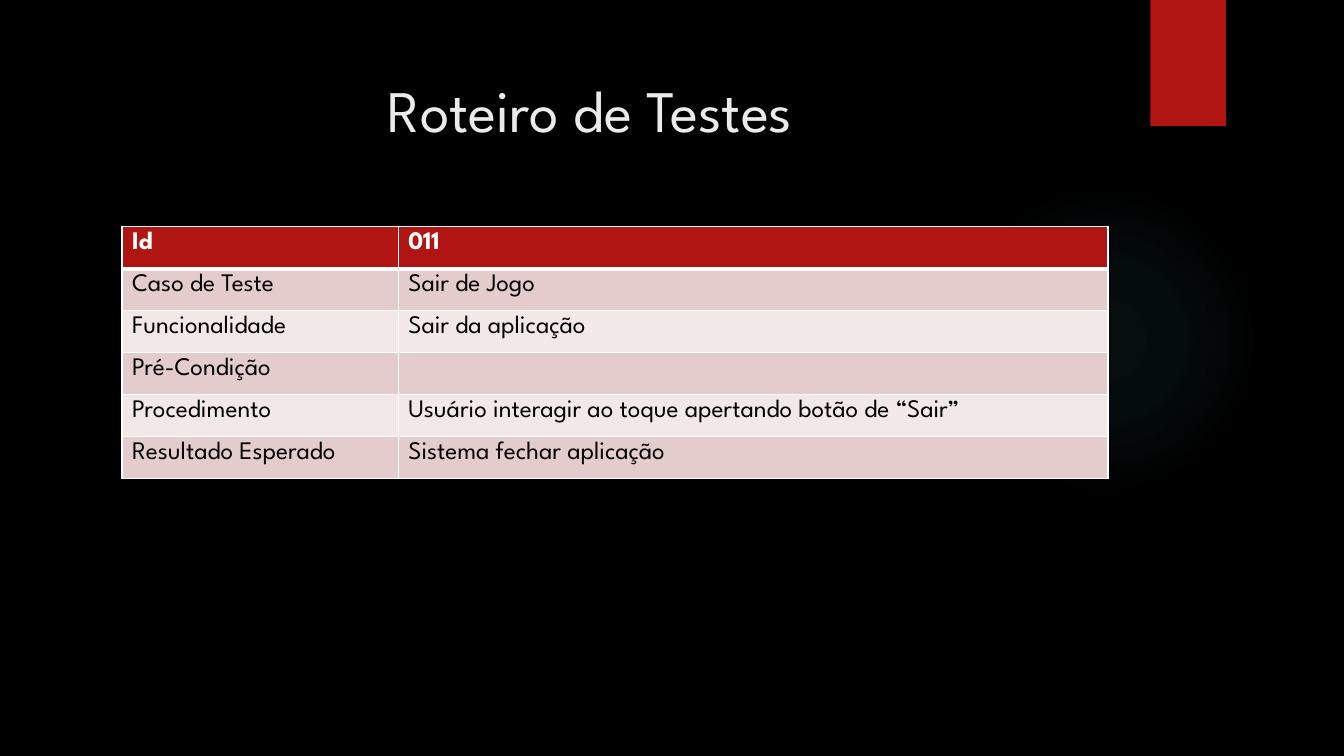
from dataclasses import dataclass

from lxml.etree import SubElement
from pptx import Presentation
from pptx.dml.color import RGBColor
from pptx.enum.shapes import MSO_SHAPE as Shape
from pptx.enum.text import MSO_ANCHOR as Anchor, PP_ALIGN as Align
from pptx.oxml import parse_xml
from pptx.oxml.ns import nsdecls, qn
from pptx.util import Inches, Pt

TITLE = "Roteiro de Testes"
TEST_CASE = [
    ("Id", "011"),
    ("Caso de Teste", "Sair de Jogo"),
    ("Funcionalidade", "Sair da aplicação"),
    ("Pré-Condição", ""),
    ("Procedimento", "Usuário interagir ao toque apertando botão de “Sair”"),
    ("Resultado Esperado", "Sistema fechar aplicação"),
]
COLUMN_WIDTHS = (2.74, 7.04)
ROW_HEIGHT = 0.4167
GLOW_STOPS = [(0, 7), (36, 6), (69, 0)]  # position and opacity, in percent


@dataclass(frozen=True)
class Theme:
    font: str = "League Spartan"
    title_size: int = 42
    table_size: int = 18
    background: str = "000000"
    title: str = "EBEBEB"
    accent: str = "B01513"
    glow: str = "50B9C1"
    header_text: str = "FFFFFF"
    body_text: str = "000000"
    border: str = "FFFFFF"
    bands: tuple = ("F2E8E7", "E4CCCC")


THEME = Theme()


def box(left, top, width, height):
    return [Inches(length) for length in (left, top, width, height)]


def paint(fill, color):
    fill.solid()
    fill.fore_color.rgb = RGBColor.from_string(color)


def style_font(font, size, color, bold=False):
    font.name = THEME.font
    font.size = Pt(size)
    font.bold = bold
    font.color.rgb = RGBColor.from_string(color)


def add_plain_shape(slide, kind, frame):
    shape = slide.shapes.add_shape(kind, *box(*frame))
    shape.shadow.inherit = False
    shape.line.fill.background()
    return shape


def add_glow(slide):
    glow = add_plain_shape(slide, Shape.OVAL, (9.41, 1.83, 3.08, 3.08))
    stops = "".join(
        f'<a:gs pos="{position * 1000}"><a:srgbClr val="{THEME.glow}">'
        f'<a:alpha val="{opacity * 1000}"/></a:srgbClr></a:gs>'
        for position, opacity in GLOW_STOPS
    )
    gradient = parse_xml(
        f'<a:gradFill {nsdecls("a")}><a:gsLst>{stops}</a:gsLst><a:path path="circle">'
        '<a:fillToRect l="50000" t="50000" r="50000" b="50000"/></a:path></a:gradFill>'
    )
    glow._element.spPr.find(qn("a:prstGeom")).addnext(gradient)


def add_ribbon(slide):
    ribbon = add_plain_shape(slide, Shape.RECTANGLE, (11.41, 0, 0.75, 1.25))
    paint(ribbon.fill, THEME.accent)
    effects = ribbon._element.spPr.find(qn("a:effectLst"))
    effects.append(parse_xml(
        f'<a:outerShdw {nsdecls("a")} blurRad="{Pt(3)}" dist="{Pt(2)}" dir="5400000">'
        '<a:srgbClr val="000000"><a:alpha val="45000"/></a:srgbClr></a:outerShdw>'
    ))


def set_title(slide):
    title = slide.shapes.title
    title.left, title.top, title.width, title.height = box(0.71, 0.5, 10.29, 1.53)
    frame = title.text_frame
    frame.text = TITLE
    frame.word_wrap = True
    frame.vertical_anchor = Anchor.TOP
    frame.margin_top = Inches(0.23)
    paragraph = frame.paragraphs[0]
    paragraph.alignment = Align.CENTER
    paragraph.line_spacing = 1.0
    style_font(paragraph.font, THEME.title_size, THEME.title)


def set_borders(cell, top, bottom):
    properties = cell._tc.get_or_add_tcPr()
    for side, width in (("L", 1), ("R", 1), ("T", top), ("B", bottom)):
        line = SubElement(properties, qn(f"a:ln{side}"), w=str(Pt(width)))
        fill = SubElement(line, qn("a:solidFill"))
        SubElement(fill, qn("a:srgbClr"), val=THEME.border)


def add_test_table(slide):
    frame = box(1.21, 2.25, sum(COLUMN_WIDTHS), ROW_HEIGHT * len(TEST_CASE))
    table = slide.shapes.add_table(len(TEST_CASE), len(COLUMN_WIDTHS), *frame).table
    for column, width in zip(table.columns, COLUMN_WIDTHS):
        column.width = Inches(width)
    for row, texts in enumerate(TEST_CASE):
        header = row == 0
        for column, text in enumerate(texts):
            cell = table.cell(row, column)
            cell.text = text
            set_borders(cell, top=3 if row == 1 else 1, bottom=3 if header else 1)
            paint(cell.fill, THEME.accent if header else THEME.bands[row % 2])
            color = THEME.header_text if header else THEME.body_text
            style_font(cell.text_frame.paragraphs[0].font, THEME.table_size, color, header)


def main():
    presentation = Presentation()
    presentation.slide_width = Inches(13.33)
    presentation.slide_height = Inches(7.5)
    slide = presentation.slides.add_slide(presentation.slide_layouts.get_by_name("Title Only"))
    paint(slide.background.fill, THEME.background)
    add_glow(slide)
    add_ribbon(slide)
    set_title(slide)
    add_test_table(slide)
    presentation.save("out.pptx")


if __name__ == "__main__":
    main()
